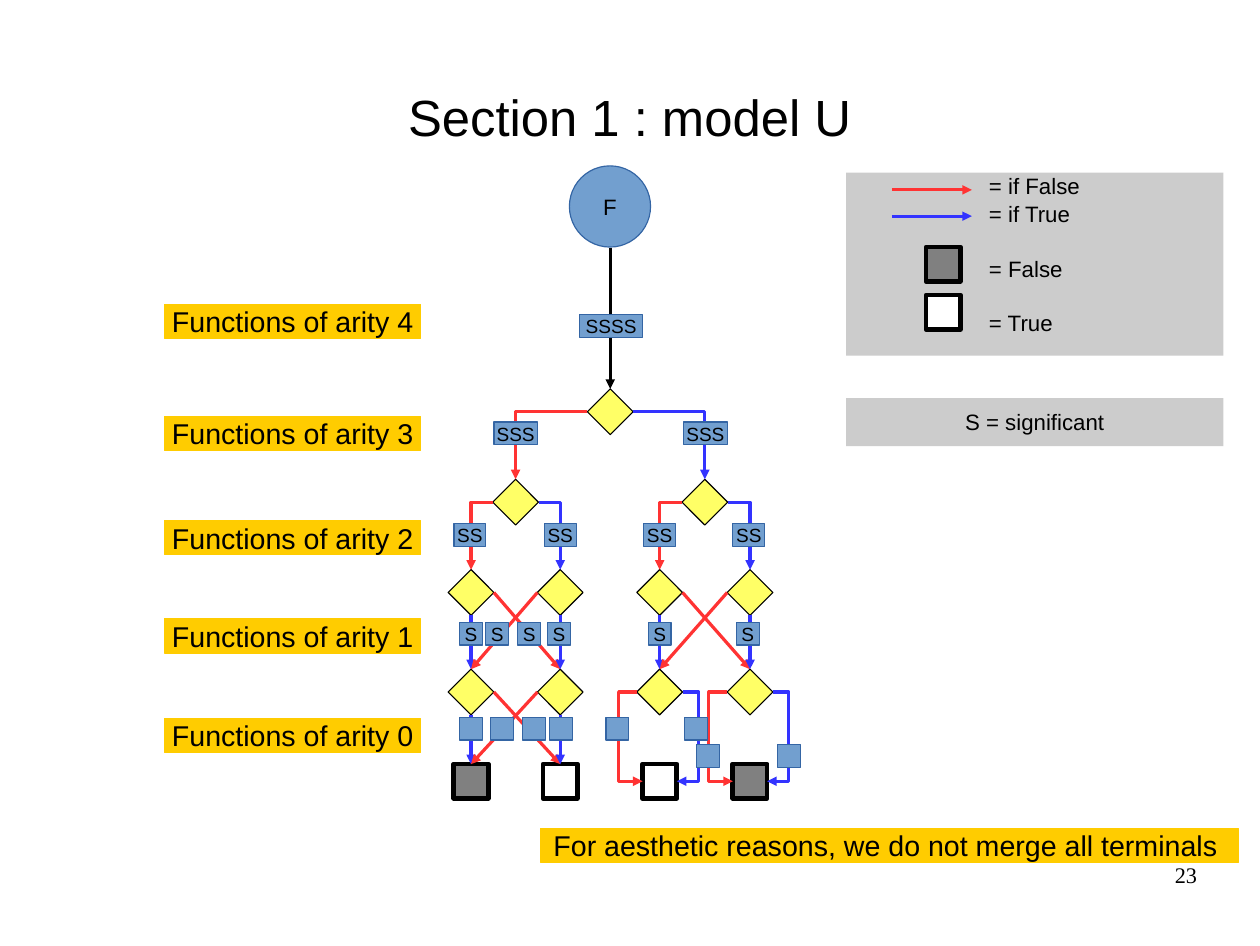
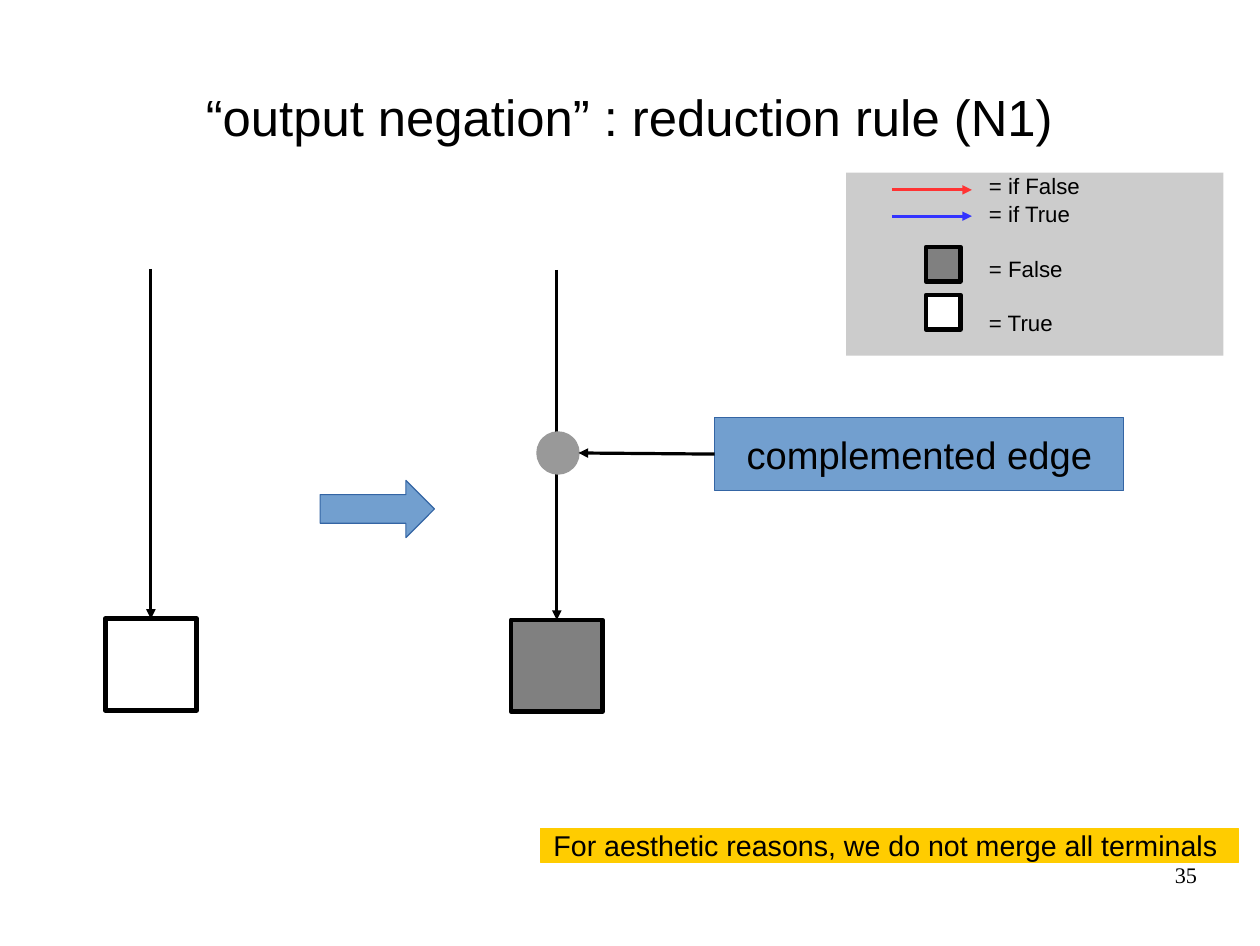
"""Build two decision-diagram slides that share a title style, legend and footer."""
from dataclasses import dataclass

from lxml.etree import SubElement
from pptx import Presentation
from pptx.dml.color import RGBColor
from pptx.enum.shapes import MSO_CONNECTOR, MSO_SHAPE
from pptx.enum.text import MSO_ANCHOR, PP_ALIGN
from pptx.oxml.ns import qn
from pptx.util import Inches, Pt

TOP, LEFT, BOTTOM, RIGHT = range(4)
SITES = {TOP: (0.5, 0), LEFT: (0, 0.5), BOTTOM: (0.5, 1), RIGHT: (1, 0.5)}


@dataclass(frozen=True)
class Theme:
    ink: str = "000000"
    paper: str = "FFFFFF"
    gray: str = "808080"
    complement: str = "999999"
    panel: str = "CCCCCC"
    band: str = "FFCC00"
    blue: str = "729FCF"
    blue_edge: str = "3465A4"
    node: str = "FFFF66"
    if_false: str = "FF3333"
    if_true: str = "3333FF"
    font: str = "Arial"
    number_font: str = "Times New Roman"
    title_size: int = 32
    callout_size: int = 24
    band_size: int = 18
    body_size: int = 14
    tag_size: int = 12
    hairline: int = 0
    heavy: int = 3


def assign(target, values):
    for name, value in values.items():
        setattr(target, name, value)


class Deck:
    """Holds the theme and the current slide, and draws each kind of element."""

    def __init__(self, theme):
        self.theme = theme
        self.deck = Presentation()
        assign(self.deck, {"slide_width": Inches(11.02), "slide_height": Inches(8.27)})
        self.slide = None

    def start(self, title, number):
        t = self.theme
        self.slide = self.deck.slides.add_slide(self.deck.slide_layouts[6])
        self.label(0.55, 0.33, 9.92, 1.38, title, t.title_size)
        self.label(7.9, 7.53, 2.57, 0.57, number, t.body_size, font=t.number_font,
                   align=PP_ALIGN.RIGHT, anchor=MSO_ANCHOR.TOP)
        self.legend()
        self.band(4.73, 7.24, 6.1, "For aesthetic reasons, we do not merge all terminals",
                  margin_right=Inches(0.07))

    def put_text(self, shape, lines, size, font=None, align=PP_ALIGN.CENTER,
                 anchor=MSO_ANCHOR.MIDDLE, wrap=False, gaps=(0,), **margins):
        frame = shape.text_frame
        frame.text = lines
        assign(frame, {"margin_left": 0, "margin_top": 0, "margin_right": 0,
                       "margin_bottom": 0, "word_wrap": wrap,
                       "vertical_anchor": anchor, **margins})
        for paragraph, gap in zip(frame.paragraphs, gaps):
            assign(paragraph, {"alignment": align, "space_before": Pt(gap)})
            assign(paragraph.font, {"size": Pt(size), "name": font or self.theme.font})
            paragraph.font.color.rgb = RGBColor.from_string(self.theme.ink)

    def label(self, left, top, width, height, text, size, **style):
        box = self.slide.shapes.add_textbox(*map(Inches, (left, top, width, height)))
        self.put_text(box, text, size, wrap=True, **style)

    def shape(self, left, top, width, height, fill, edge=None, weight=0,
              kind=MSO_SHAPE.RECTANGLE):
        shape = self.slide.shapes.add_shape(
            kind, *map(Inches, (left, top, width, height)))
        shape.shadow.inherit = False
        shape.fill.solid()
        shape.fill.fore_color.rgb = RGBColor.from_string(fill)
        if edge:
            shape.line.color.rgb = RGBColor.from_string(edge)
            shape.line.width = Pt(weight)
        else:
            shape.line.fill.background()
        return shape

    def blue_shape(self, left, top, width, height, text="", size=12,
                   kind=MSO_SHAPE.RECTANGLE):
        t = self.theme
        shape = self.shape(left, top, width, height, t.blue, t.blue_edge, kind=kind)
        if text:
            self.put_text(shape, text, size)
        return shape

    def band(self, left, top, width, text, **style):
        t = self.theme
        strip = self.shape(left, top, width, 0.3, t.band, t.band)
        self.put_text(strip, text, t.band_size, **style)

    def terminal(self, center, top, size, value):
        t = self.theme
        return self.shape(center - size / 2, top, size, size,
                          t.paper if value else t.gray, t.ink, t.heavy)

    def node(self, center, top):
        t = self.theme
        return self.shape(center - 0.2, top, 0.4, 0.4, t.node, t.ink,
                          kind=MSO_SHAPE.DIAMOND)

    def locate(self, end):
        anchor, place = end
        if isinstance(anchor, (int, float)):
            return Inches(anchor), Inches(place)
        across, down = SITES[place]
        return (int(anchor.left + anchor.width * across),
                int(anchor.top + anchor.height * down))

    def arrow(self, start, finish, color, corner=False, lane=None):
        bent = corner or lane is not None
        kind = MSO_CONNECTOR.ELBOW if bent else MSO_CONNECTOR.STRAIGHT
        (x1, y1), (x2, y2) = self.locate(start), self.locate(finish)
        arrow = self.slide.shapes.add_connector(kind, x1, y1, x2, y2)
        for end, connect in ((start, arrow.begin_connect), (finish, arrow.end_connect)):
            if not isinstance(end[0], (int, float)):
                connect(*end)
        arrow.line.color.rgb = RGBColor.from_string(color)
        arrow.line.width = Pt(self.theme.hairline)
        properties = arrow._element.spPr
        SubElement(properties.find(qn("a:ln")), qn("a:tailEnd"), type="triangle")
        SubElement(properties, qn("a:effectLst"))
        geometry = properties.find(qn("a:prstGeom"))
        if corner:
            geometry.set("prst", "bentConnector2")
        if lane is not None:
            ratio = round((Inches(lane) - x1) / (x2 - x1) * 100000)
            guides = geometry.find(qn("a:avLst"))
            if guides is None:
                guides = SubElement(geometry, qn("a:avLst"))
            SubElement(guides, qn("a:gd"), name="adj1", fmla=f"val {ratio}")

    def legend(self):
        t = self.theme
        panel = self.shape(7.4, 1.51, 3.3, 1.6, t.panel)
        self.put_text(panel, "= if False\n= if True\n= False\n= True", t.body_size,
                      align=PP_ALIGN.LEFT, anchor=MSO_ANCHOR.TOP, wrap=True,
                      gaps=(0, 0.7, 17.5, 17.5), margin_left=Inches(1.25))
        for value, top in ((True, 2.58), (False, 2.16)):
            self.terminal(8.25, top, 0.3, value)
        for color, y in ((t.if_true, 1.89), (t.if_false, 1.66)):
            self.arrow((7.8, y), (8.5, y), color)


def model_slide(deck):
    t = deck.theme
    deck.start("Section 1 : model U", "23")

    columns = (4.12, 4.9, 5.77, 6.56)
    halves = [(a + b) / 2 for a, b in zip(columns[::2], columns[1::2])]
    center = sum(halves) / 2
    levels = [[deck.node(x, top) for x in xs]
              for xs, top in (((center,), 3.4), (halves, 4.19),
                              (columns, 4.98), (columns, 5.85))]
    terminals = [deck.terminal(x, 6.68, 0.3, value)
                 for x, value in zip(columns, (False, True, True, False))]

    deck.blue_shape(4.98, 1.45, 0.71, 0.71, "F", t.body_size, MSO_SHAPE.OVAL)
    deck.arrow((center, 2.17), (levels[0][0], TOP), t.ink)

    for parents, children in zip(levels[:2], levels[1:3]):
        for i, parent in enumerate(parents):
            deck.arrow((parent, LEFT), (children[2 * i], TOP), t.if_false, corner=True)
            deck.arrow((parent, RIGHT), (children[2 * i + 1], TOP), t.if_true, corner=True)

    crossings = list(zip(levels[2], levels[3])) + list(zip(levels[3][:2], terminals))
    for first, second in zip(crossings[::2], crossings[1::2]):
        for (parent, child), side, (_, other) in ((first, RIGHT, second),
                                                  (second, LEFT, first)):
            deck.arrow((parent, BOTTOM), (child, TOP), t.if_true)
            deck.arrow((parent, side), (other, TOP), t.if_false)

    for x, parent, end in zip(columns[2:], levels[3][2:], terminals[2:]):
        for side, shift, color in ((LEFT, -0.36, t.if_false), (RIGHT, 0.34, t.if_true)):
            deck.arrow((parent, side), (end, side), color, lane=x + shift)

    tag_rows = (
        ("SSSS", 0.55, 2.75, (5.07,)),
        ("SSS", 0.38, 3.69, (4.32, 5.98)),
        ("SS", 0.28, 4.58, (3.97, 4.76, 5.63, 6.41)),
        ("S", 0.2, 5.44, (4.02, 4.25, 4.53, 4.79, 5.67, 6.44)),
        ("", 0.2, 6.27, (4.02, 4.29, 4.57, 4.81, 5.3, 5.99)),
        ("", 0.2, 6.51, (6.09, 6.8)),
    )
    for text, width, top, lefts in tag_rows:
        for left in lefts:
            deck.blue_shape(left, top, width, 0.2, text, t.tag_size)

    for arity, top in enumerate((6.28, 5.41, 4.55, 3.64, 2.66)):
        deck.band(1.44, top, 2.24, f"Functions of arity {arity}")

    meaning = deck.shape(7.4, 3.48, 3.3, 0.42, t.panel)
    deck.put_text(meaning, "S = significant", t.body_size)


def negation_slide(deck):
    t = deck.theme
    deck.start("“output negation” : reduction rule (N1)", "35")
    deck.blue_shape(2.8, 4.2, 1, 0.5, kind=MSO_SHAPE.RIGHT_ARROW)
    for x, top, value in ((1.32, 5.41, True), (4.87, 5.42, False)):
        terminal = deck.terminal(x, top, 0.8, value)
        deck.arrow((x, top - 3.06), (terminal, TOP), t.ink)
    deck.shape(4.69, 3.77, 0.38, 0.38, t.complement, kind=MSO_SHAPE.OVAL)
    callout = deck.blue_shape(6.25, 3.65, 3.58, 0.64, "complemented edge", t.callout_size)
    deck.arrow((callout, LEFT), (5.06, 3.96), t.ink)


def main():
    deck = Deck(Theme())
    model_slide(deck)
    negation_slide(deck)
    deck.deck.save("out.pptx")


if __name__ == "__main__":
    main()
